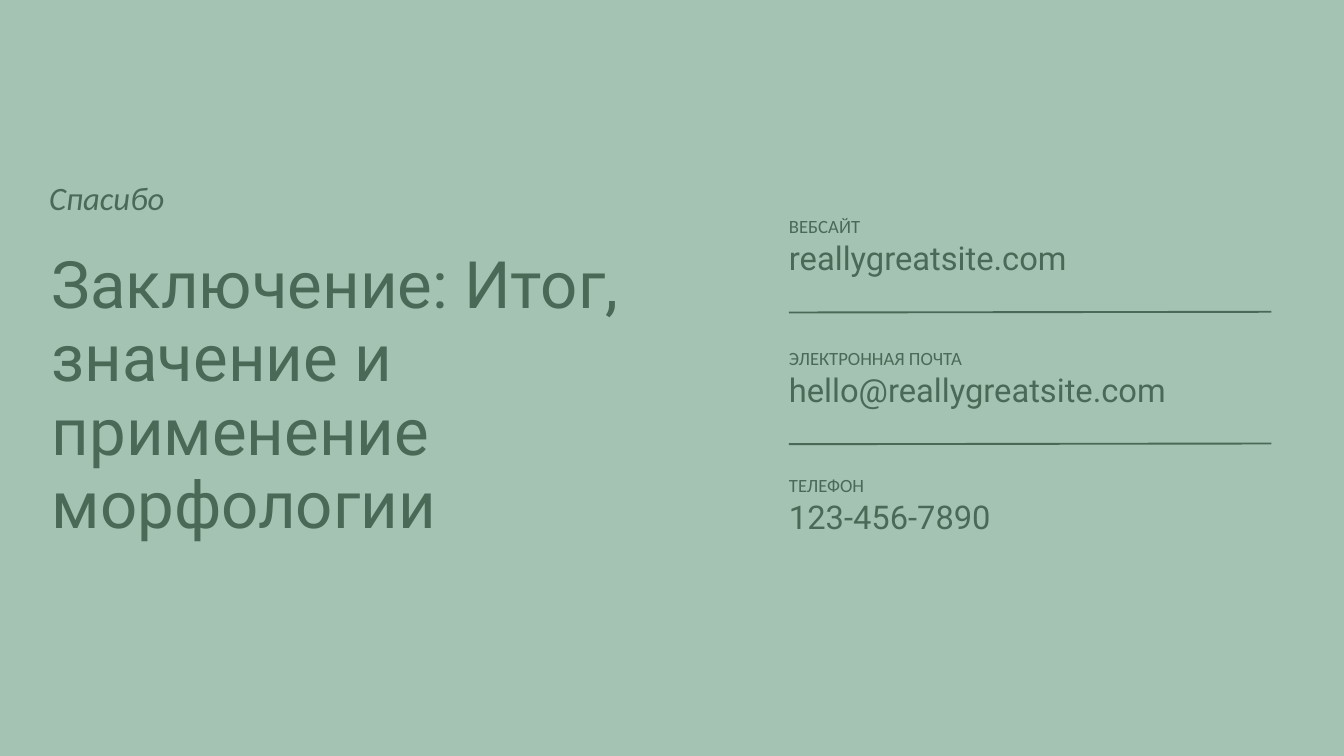
from lxml.etree import SubElement
from pptx import Presentation
from pptx.dml.color import RGBColor
from pptx.enum.shapes import MSO_CONNECTOR
from pptx.enum.text import MSO_ANCHOR, MSO_AUTO_SIZE, PP_ALIGN
from pptx.oxml.ns import qn
from pptx.util import Inches, Pt

COLORS = {"background": "A4C3B2", "ink": "4A6A57"}
CONTACT_LEFT, CONTACT_WIDTH = 11.74, 7.18
CONTACTS = [
    (3.14, "ВЕБСАЙТ", "reallygreatsite.com"),
    (5.11, "ЭЛЕКТРОННАЯ ПОЧТА", "hello@reallygreatsite.com"),
    (6.99, "ТЕЛЕФОН", "123-456-7890"),
]
DIVIDERS = [4.65, 6.61]


def color(name):
    return RGBColor.from_string(COLORS[name])


def format_text(sp, text, font, size, spacing, italic=False):
    tf = sp.text_frame
    tf.text = text
    tf.word_wrap = True
    tf.auto_size = MSO_AUTO_SIZE.SHAPE_TO_FIT_TEXT
    tf.vertical_anchor = MSO_ANCHOR.TOP
    tf.margin_left = tf.margin_top = tf.margin_right = tf.margin_bottom = 0
    p = tf.paragraphs[0]
    p.alignment = PP_ALIGN.LEFT
    p.line_spacing = Pt(spacing)
    p.space_before = Pt(0)
    r = p.runs[0]
    r.font.name = font
    r.font.size = Pt(size)
    r.font.italic = italic
    r.font.color.rgb = color("ink")


def add_title(s, text):
    sp = s.shapes.title
    sp.left, sp.top = Inches(0.77), Inches(3.7)
    sp.width, sp.height = Inches(9.06), Inches(4.36)
    format_text(sp, text, "Roboto", 70, 78.4)


def add_text(s, left, top, width, height, text, font, size, spacing, italic=False):
    sp = s.shapes.add_textbox(Inches(left), Inches(top), Inches(width), Inches(height))
    format_text(sp, text, font, size, spacing, italic)


def add_contact(s, top, label, value):
    add_text(s, CONTACT_LEFT, top, CONTACT_WIDTH, 0.39, label, "Calibri", 20, 28)
    add_text(s, CONTACT_LEFT, top + 0.4, CONTACT_WIDTH, 0.57, value, "Roboto", 35, 42)


def add_divider(s, y):
    line = s.shapes.add_connector(
        MSO_CONNECTOR.STRAIGHT, Inches(CONTACT_LEFT), Inches(y),
        Inches(CONTACT_LEFT + CONTACT_WIDTH), Inches(y - 0.01))
    line.line.color.rgb = color("ink")
    line.line.width = Pt(2)
    SubElement(line._element.spPr, qn("a:effectLst"))


def main():
    prs = Presentation()
    prs.slide_width, prs.slide_height = Inches(20), Inches(11.25)
    s = prs.slides.add_slide(prs.slide_layouts[5])
    s.background.fill.solid()
    s.background.fill.fore_color.rgb = color("background")

    # Contact details on the right
    for y in DIVIDERS:
        add_divider(s, y)
    for top, label, value in CONTACTS:
        add_contact(s, top, label, value)

    # Closing message on the left
    add_title(s, "Заключение: Итог, значение и применение морфологии")
    add_text(s, 0.73, 2.75, 9.06, 0.53, "Спасибо", "Calibri", 35, 35, italic=True)

    prs.save("out.pptx")


if __name__ == "__main__":
    main()
